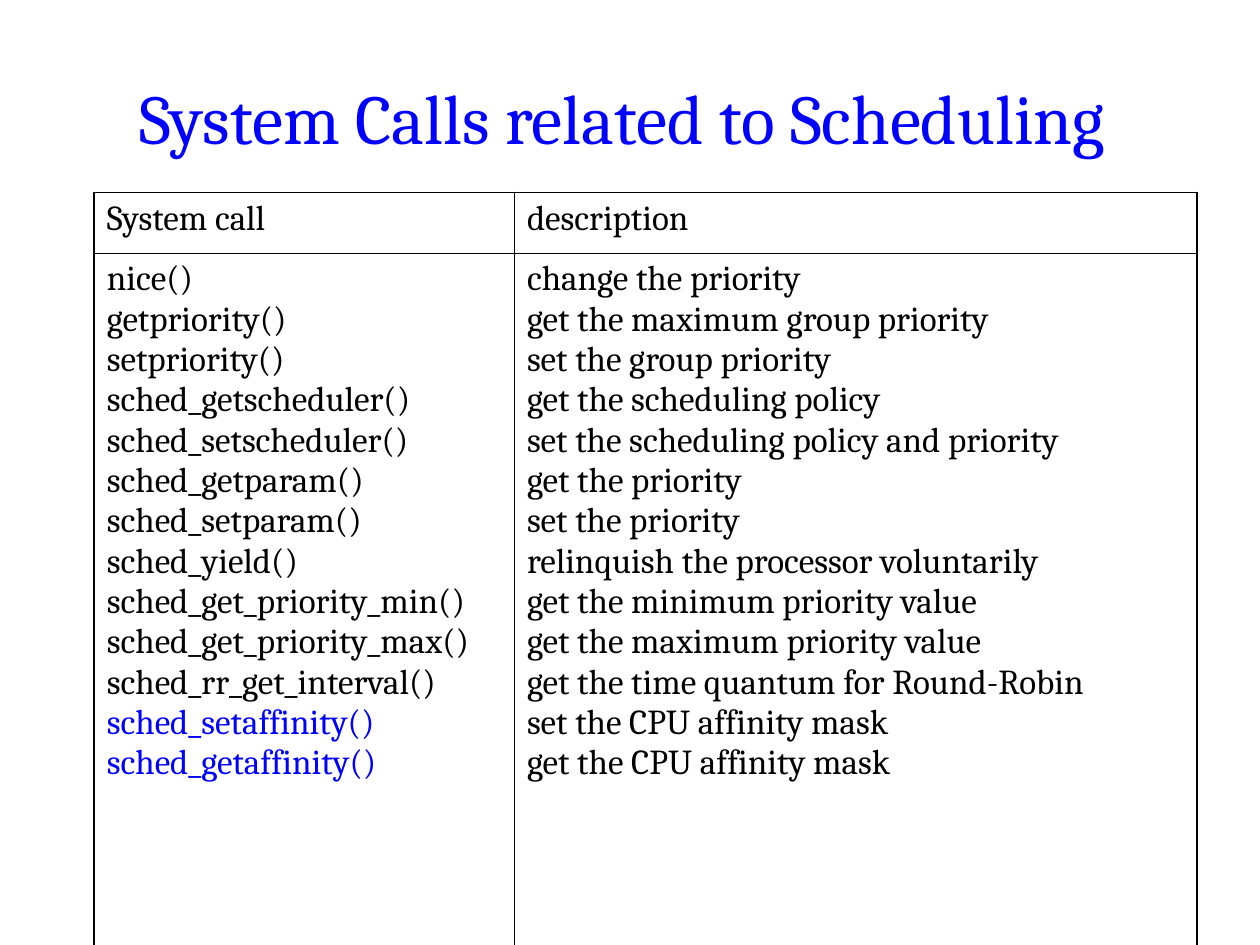
from dataclasses import dataclass

from lxml import etree
from pptx import Presentation
from pptx import util as u
from pptx.dml.color import RGBColor
from pptx.enum import text
from pptx.oxml.ns import qn


@dataclass(frozen=True)
class Theme:
    font: str = "Cambria"
    ink: str = "000000"
    accent: str = "0000FF"
    paper: str = "FFFFFF"
    title_size: float = 40
    body_size: float = 20
    outer_line: float = 1.08
    inner_line: float = 0.45


SYSTEM_CALLS = [
    ("nice()", "change the priority"),
    ("getpriority()", "get the maximum group priority"),
    ("setpriority()", "set the group priority"),
    ("sched_getscheduler()", "get the scheduling policy"),
    ("sched_setscheduler()", "set the scheduling policy and priority"),
    ("sched_getparam()", "get the priority"),
    ("sched_setparam()", "set the priority"),
    ("sched_yield()", "relinquish the processor voluntarily"),
    ("sched_get_priority_min()", "get the minimum priority value"),
    ("sched_get_priority_max()", "get the maximum priority value"),
    ("sched_rr_get_interval()", "get the time quantum for Round-Robin"),
    ("sched_setaffinity()", "set the CPU affinity mask"),
    ("sched_getaffinity()", "get the CPU affinity mask"),
]
HIGHLIGHTED = {"sched_setaffinity()", "sched_getaffinity()"}


def add_span(para, words, *, font, size, color):
    span = para.add_run()
    span.text = words
    span.font.name = font
    span.font.size = u.Pt(size)
    span.font.color.rgb = RGBColor.from_string(color)


def set_border(cell, side, width, color):
    """Draw one cell edge; side is L, R, T or B, in that order per cell."""
    line = etree.SubElement(cell._tc.get_or_add_tcPr(), qn(f"a:ln{side}"), w=str(int(u.Pt(width))))
    fill = etree.SubElement(line, qn("a:solidFill"))
    etree.SubElement(fill, qn("a:srgbClr"), val=color)


class SlideBuilder:
    def __init__(self, slide, theme):
        self.slide = slide
        self.theme = theme
        background = slide.background.fill
        background.solid()
        background.fore_color.rgb = RGBColor.from_string(theme.paper)

    def title(self, words, left, top, width, height):
        box = self.slide.shapes.title
        box.left, box.top, box.width, box.height = map(u.Cm, (left, top, width, height))
        frame = box.text_frame
        frame.word_wrap = True
        frame.auto_size = text.MSO_AUTO_SIZE.NONE
        frame.vertical_anchor = text.MSO_ANCHOR.MIDDLE
        para = frame.paragraphs[0]
        para.alignment = text.PP_ALIGN.CENTER
        add_span(para, words, font=self.theme.font, size=self.theme.title_size,
                 color=self.theme.accent)

    def table(self, rows, left, top, widths, heights):
        """Fill a grid in which each cell is a list of lines."""
        frame = self.slide.shapes.add_table(
            len(heights), len(widths), u.Cm(left), u.Cm(top),
            u.Cm(sum(widths)), u.Cm(sum(heights)))
        table = frame.table
        table.first_row = table.horz_banding = False
        for column, width in zip(table.columns, widths):
            column.width = u.Cm(width)
        for row, height in zip(table.rows, heights):
            row.height = u.Cm(height)
        for r, row in enumerate(rows):
            for c, lines in enumerate(row):
                cell = table.cell(r, c)
                self.cell_lines(cell, lines)
                outer_sides = {"L": c == 0, "R": c == len(widths) - 1,
                               "T": r == 0, "B": r == len(heights) - 1}
                for side, outer in outer_sides.items():
                    width = self.theme.outer_line if outer else self.theme.inner_line
                    set_border(cell, side, width, self.theme.ink)
                cell.fill.background()

    def cell_lines(self, cell, lines):
        para = cell.text_frame.paragraphs[0]
        for number, line in enumerate(lines):
            if number:
                para.add_line_break()
            color = self.theme.accent if line in HIGHLIGHTED else self.theme.ink
            add_span(para, line, font=self.theme.font, size=self.theme.body_size, color=color)


def main():
    deck = Presentation()
    deck.slide_width, deck.slide_height = u.Cm(25.4), u.Cm(19.05)
    page = SlideBuilder(deck.slides.add_slide(deck.slide_layouts[5]), Theme())
    page.title("System Calls related to Scheduling ", 1.27, 0.76, 22.86, 3.18)
    names, descriptions = zip(*SYSTEM_CALLS)
    page.table([[["System call"], ["description"]], [names, descriptions]],
               left=1.9, top=3.88, widths=(8.47, 13.76), heights=(1.22, 14.73))
    deck.save("out.pptx")


if __name__ == "__main__":
    main()
